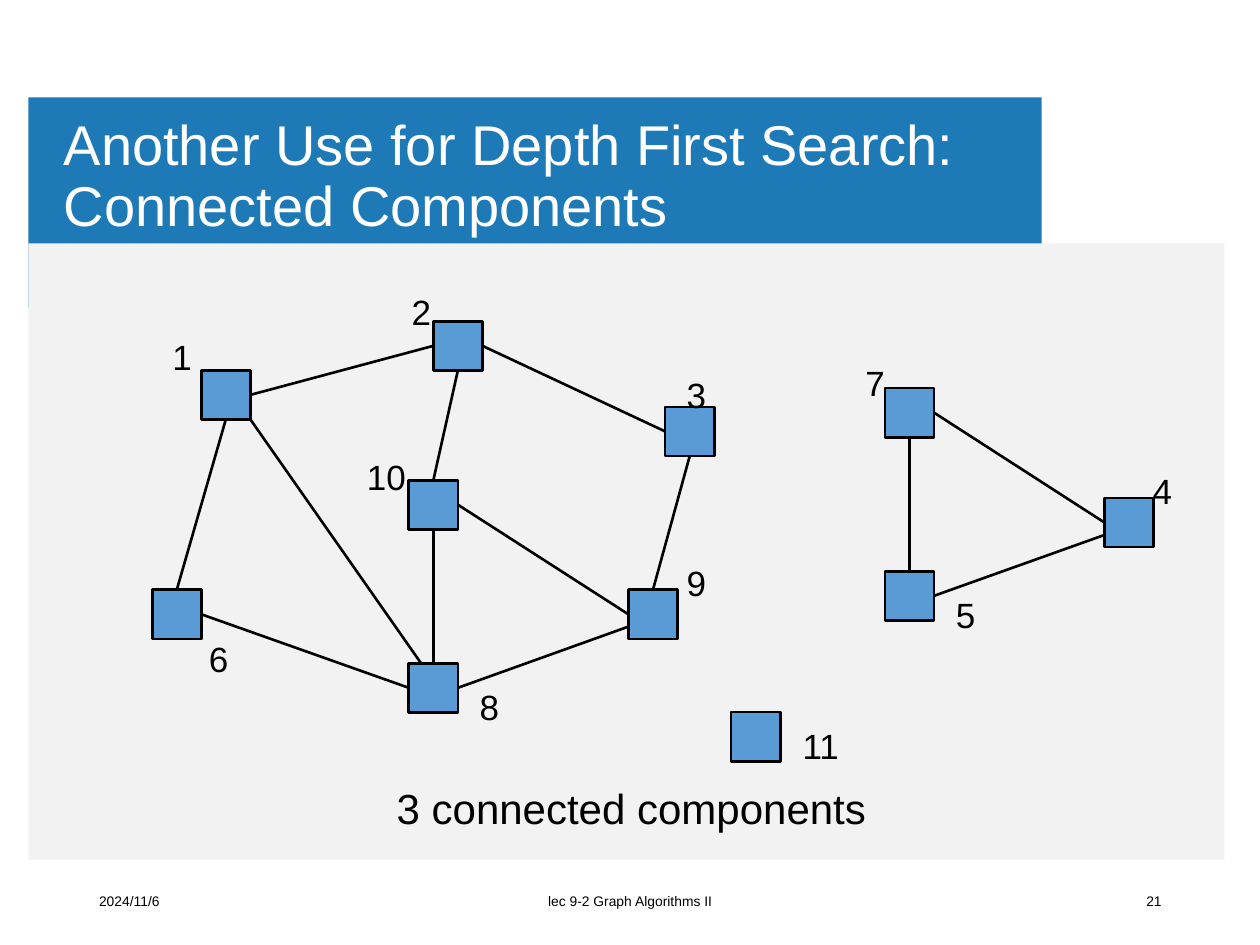
"""Build a slide showing the connected components of a graph."""
from lxml import etree
from pptx import Presentation
from pptx import util as u
from pptx.dml.color import RGBColor
from pptx.enum import shapes, text
from pptx.oxml.ns import qn

COLORS = {"band": "1E7AB6", "panel": "F2F2F2", "node": "5B9BD5",
          "ink": "000000", "title": "FFFFFF"}
FONT = "Arial"
NODE_SIZE = 28.1
LABEL_SIZE = (46, 31.5)

TITLE = "Another Use for Depth First Search: Connected Components"
SUMMARY = "3 connected components"
BANDS = [("band", (16.2, 55.7, 579, 120)), ("panel", (16.2, 139, 683.4, 352.2))]
FOOTERS = [
    ("2024/11/6", 49.5, 162, text.PP_ALIGN.LEFT),
    ("lec 9-2 Graph Algorithms II", 238.5, 243, text.PP_ALIGN.CENTER),
    ("21", 508.9, 162, text.PP_ALIGN.RIGHT),
]
# name: (node left, node top), (label left, label top)
NODES = {
    "1": ((115, 211.6), (91.4, 187.9)),
    "2": ((247.6, 183.6), (228.1, 162.5)),
    "3": ((380.1, 232.5), (385.3, 210.1)),
    "4": ((631.2, 284.6), (651.6, 265)),
    "5": ((505.7, 326.4), (539.1, 335.7)),
    "6": ((87, 337), (112.3, 360.7)),
    "7": ((505.7, 221.8), (487.4, 203)),
    "8": ((233.6, 379), (267, 388.3)),
    "9": ((359.1, 337), (385.3, 317.4)),
    "10": ((233.6, 274.4), (202.5, 256.5)),
    "11": ((417.8, 406.9), (451.5, 410.6)),
}
ANCHORS = {
    "top": (0.5, 0, 0), "left": (0, 0.5, 1),
    "bottom": (0.5, 1, 2), "right": (1, 0.5, 3),
    "upper left": (0.25, 0, None), "lower left": (0, 0.75, None),
    "corner": (1, 1, None),
}
EDGES = [
    ("1", "right", "2", "left"), ("2", "bottom", "10", "top"),
    ("2", "right", "3", "left"), ("10", "right", "9", "left"),
    ("3", "bottom", "9", "top"), ("10", "bottom", "8", "top"),
    ("8", "right", "9", "lower left"), ("6", "right", "8", "left"),
    ("1", "bottom", "6", "top"), ("1", "corner", "8", "upper left"),
    ("7", "right", "4", "left"), ("7", "bottom", "5", "top"),
    ("5", "right", "4", "lower left"),
]


def color(name):
    return RGBColor.from_string(COLORS[name])


def points(values):
    return [u.Pt(value) for value in values]


def add_rectangle(slide, box, fill, outlined=False):
    shape = slide.shapes.add_shape(shapes.MSO_SHAPE.RECTANGLE, *points(box))
    shape.shadow.inherit = False
    shape.fill.solid()
    shape.fill.fore_color.rgb = color(fill)
    if outlined:
        shape.line.color.rgb = color("ink")
        shape.line.width = u.Pt(1.5)
    else:
        shape.line.fill.background()
    return shape


def format_text(shape, words, size, ink="ink", align=text.PP_ALIGN.LEFT,
                anchor=text.MSO_ANCHOR.TOP, wrap=True):
    frame = shape.text_frame
    frame.text = words
    frame.word_wrap = wrap
    frame.vertical_anchor = anchor
    paragraph = frame.paragraphs[0]
    paragraph.alignment = align
    paragraph.font.name = FONT
    paragraph.font.size = u.Pt(size)
    paragraph.font.color.rgb = color(ink)
    return frame


def add_text(slide, box, words, size, **options):
    shape = slide.shapes.add_textbox(*points(box))
    format_text(shape, words, size, **options)


def add_title(slide):
    title = slide.shapes.title
    title.left, title.top, title.width, title.height = points((31, 66.2, 578, 70.6))
    frame = format_text(title, TITLE, 32, ink="title", anchor=text.MSO_ANCHOR.MIDDLE)
    frame.auto_size = text.MSO_AUTO_SIZE.NONE
    frame.margin_left = frame.margin_right = u.Pt(5.4)
    frame.margin_top = frame.margin_bottom = u.Pt(2.7)
    frame.paragraphs[0].line_spacing = 0.9
    slide.shapes._spTree.append(title._element)


def anchor_point(name, side):
    (left, top), _ = NODES[name]
    across, down, _ = ANCHORS[side]
    return left + across * NODE_SIZE, top + down * NODE_SIZE


def add_edge(slide, squares, start, start_side, end, end_side):
    ends = anchor_point(start, start_side) + anchor_point(end, end_side)
    edge = slide.shapes.add_connector(shapes.MSO_CONNECTOR.STRAIGHT, *points(ends))
    edge.line.color.rgb = color("ink")
    edge.line.width = u.Pt(1.5)
    etree.SubElement(edge._element.spPr, qn("a:effectLst"))
    for join, name, side in ((edge.begin_connect, start, start_side),
                             (edge.end_connect, end, end_side)):
        site = ANCHORS[side][2]
        if site is not None:
            join(squares[name], site)


def main():
    presentation = Presentation()
    presentation.slide_width, presentation.slide_height = points((720, 540))
    slide = presentation.slides.add_slide(presentation.slide_layouts[5])
    for fill, box in BANDS:
        add_rectangle(slide, box, fill)
    add_title(slide)
    for words, left, width, align in FOOTERS:
        add_text(slide, (left, 500.5, width, 28.8), words, 7.9,
                 align=align, anchor=text.MSO_ANCHOR.MIDDLE)
    squares = {name: add_rectangle(slide, (*corner, NODE_SIZE, NODE_SIZE), "node", True)
               for name, (corner, _) in NODES.items()}
    for edge in EDGES:
        add_edge(slide, squares, *edge)
    for name, (_, corner) in NODES.items():
        add_text(slide, (*corner, *LABEL_SIZE), name, 20)
    add_text(slide, (219.6, 443.5, 290.9, 36), SUMMARY, 24, wrap=False)
    presentation.save("out.pptx")


if __name__ == "__main__":
    main()
